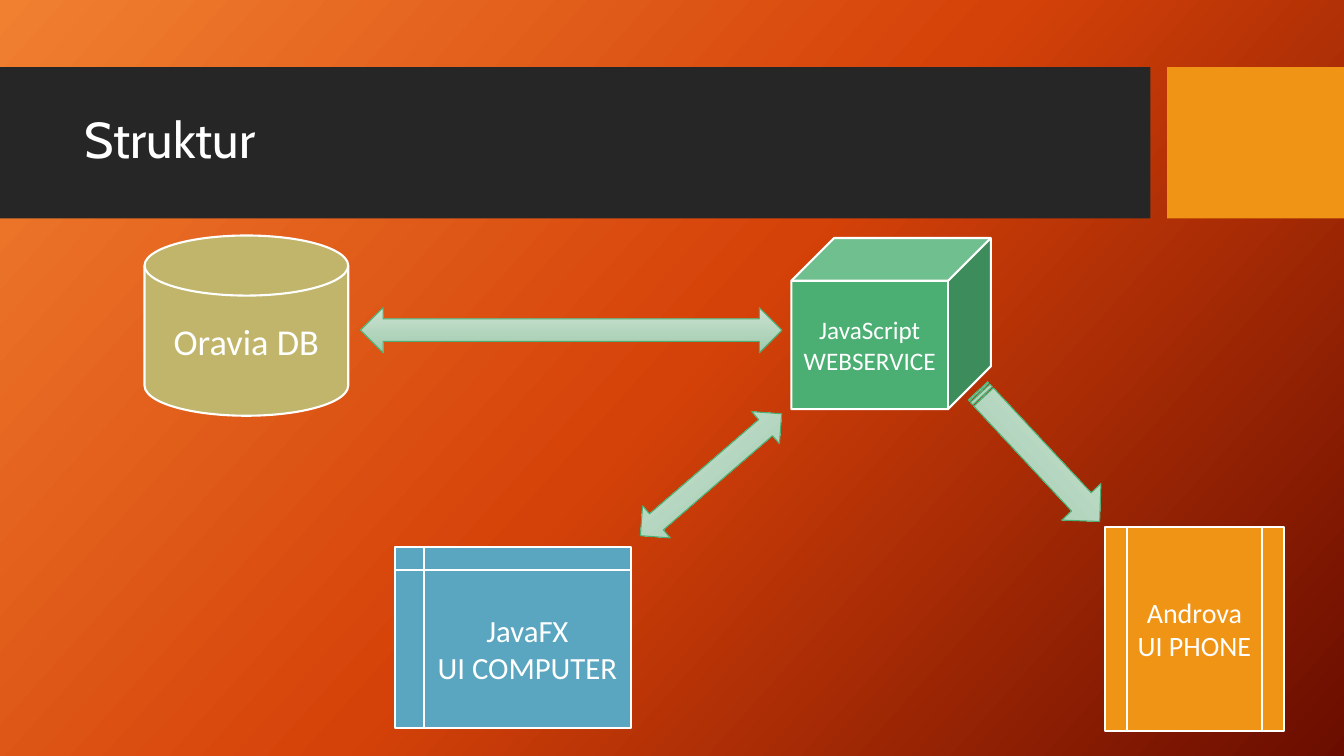
from copy import deepcopy

from pptx import Presentation
from pptx.dml.color import RGBColor
from pptx.enum import shapes, text
from pptx.util import Pt

WHITE = RGBColor(0xFF, 0xFF, 0xFF)
CHARCOAL = RGBColor(0x26, 0x26, 0x26)
ORANGE = RGBColor(0xF0, 0x94, 0x15)
OLIVE = RGBColor(0xC1, 0xB5, 0x6B)
GREEN = RGBColor(0x4B, 0xAF, 0x73)
BLUE = RGBColor(0x5A, 0xA6, 0xC0)
BACKDROP = [RGBColor(0xF1, 0x80, 0x31), RGBColor(0xD5, 0x42, 0x09), RGBColor(0x6A, 0x0D, 0x00)]
ARROW_TINT = [RGBColor(0xCB, 0xE2, 0xD2), RGBColor(0xA0, 0xCB, 0xAD)]

Kind = shapes.MSO_SHAPE


def fill_gradient(fill, element, colors, clockwise_angle):
    fill.gradient()
    fill.gradient_angle = 360 - clockwise_angle
    stop_list = element.xpath(".//a:gsLst")[0]
    while len(stop_list) < len(colors):
        stop_list.append(deepcopy(stop_list[-1]))
    for index, (stop, color) in enumerate(zip(fill.gradient_stops, colors)):
        stop.color.rgb = color
        stop.position = index / (len(colors) - 1)


def add_plain_shape(slide, kind, box):
    shape = slide.shapes.add_shape(kind, *map(Pt, box))
    shape.shadow.inherit = False
    return shape


def add_band(slide, box, color):
    band = add_plain_shape(slide, Kind.RECTANGLE, box)
    band.fill.solid()
    band.fill.fore_color.rgb = color
    band.line.fill.background()


def write_run(paragraph, content, font_name, size):
    run = paragraph.add_run()
    run.text = content
    run.font.name = font_name
    run.font.size = Pt(size)
    run.font.color.rgb = WHITE


def set_title(slide, content, box):
    title = slide.shapes.title
    title.left, title.top, title.width, title.height = map(Pt, box)
    frame = title.text_frame
    frame.word_wrap = True
    frame.auto_size = text.MSO_AUTO_SIZE.NONE
    frame.vertical_anchor = text.MSO_ANCHOR.MIDDLE
    paragraph = frame.paragraphs[0]
    paragraph.alignment = text.PP_ALIGN.LEFT
    paragraph.line_spacing = 0.9
    write_run(paragraph, content, "Cabin", 36)
    slide.shapes._spTree.append(title._element)


def add_component(slide, kind, box, color, lines, size):
    component = add_plain_shape(slide, kind, box)
    component.fill.solid()
    component.fill.fore_color.rgb = color
    component.line.color.rgb = WHITE
    component.line.width = Pt(1.5)
    frame = component.text_frame
    frame.word_wrap = True
    frame.vertical_anchor = text.MSO_ANCHOR.MIDDLE
    for index, line in enumerate(lines):
        paragraph = frame.add_paragraph() if index else frame.paragraphs[0]
        paragraph.alignment = text.PP_ALIGN.CENTER
        write_run(paragraph, line, "Calibri", size)


def add_arrow(slide, kind, box, rotation=0):
    arrow = add_plain_shape(slide, kind, box)
    arrow.rotation = rotation
    fill_gradient(arrow.fill, arrow._element, ARROW_TINT, 90)
    arrow.line.color.rgb = GREEN
    arrow.line.width = Pt(0.75)


def main():
    presentation = Presentation()
    presentation.slide_width, presentation.slide_height = Pt(960), Pt(540)
    slide = presentation.slides.add_slide(presentation.slide_layouts[5])
    fill_gradient(slide.background.fill, slide._element, BACKDROP, 42)

    add_band(slide, (0, 48, 821.75, 108), CHARCOAL)
    add_band(slide, (833.75, 48, 126.25, 108), ORANGE)
    set_title(slide, "Struktur", (53.5, 59, 756.5, 85))

    add_component(slide, Kind.FLOWCHART_MAGNETIC_DISK, (103.25, 168.25, 145.5, 128.75),
                  OLIVE, ["Oravia DB"], 26)
    add_component(slide, Kind.CUBE, (565.25, 170, 142.5, 122.25),
                  GREEN, ["JavaScript WEBSERVICE"], 18)
    add_arrow(slide, Kind.LEFT_RIGHT_ARROW, (257.5, 219.75, 301, 32.25))
    add_component(slide, Kind.FLOWCHART_INTERNAL_STORAGE, (282, 390.75, 168.5, 129),
                  BLUE, ["JavaFX", "UI COMPUTER"], 22)
    add_component(slide, Kind.FLOWCHART_PREDEFINED_PROCESS, (789.25, 376.5, 128, 145.5),
                  ORANGE, ["Androva", "UI PHONE"], 20)
    add_arrow(slide, Kind.STRIPED_RIGHT_ARROW, (678.25, 306.75, 127.5, 38.25), 47)
    add_arrow(slide, Kind.LEFT_RIGHT_ARROW, (441.25, 324, 133.25, 30.25), 319.2)

    presentation.save("out.pptx")


if __name__ == "__main__":
    main()
